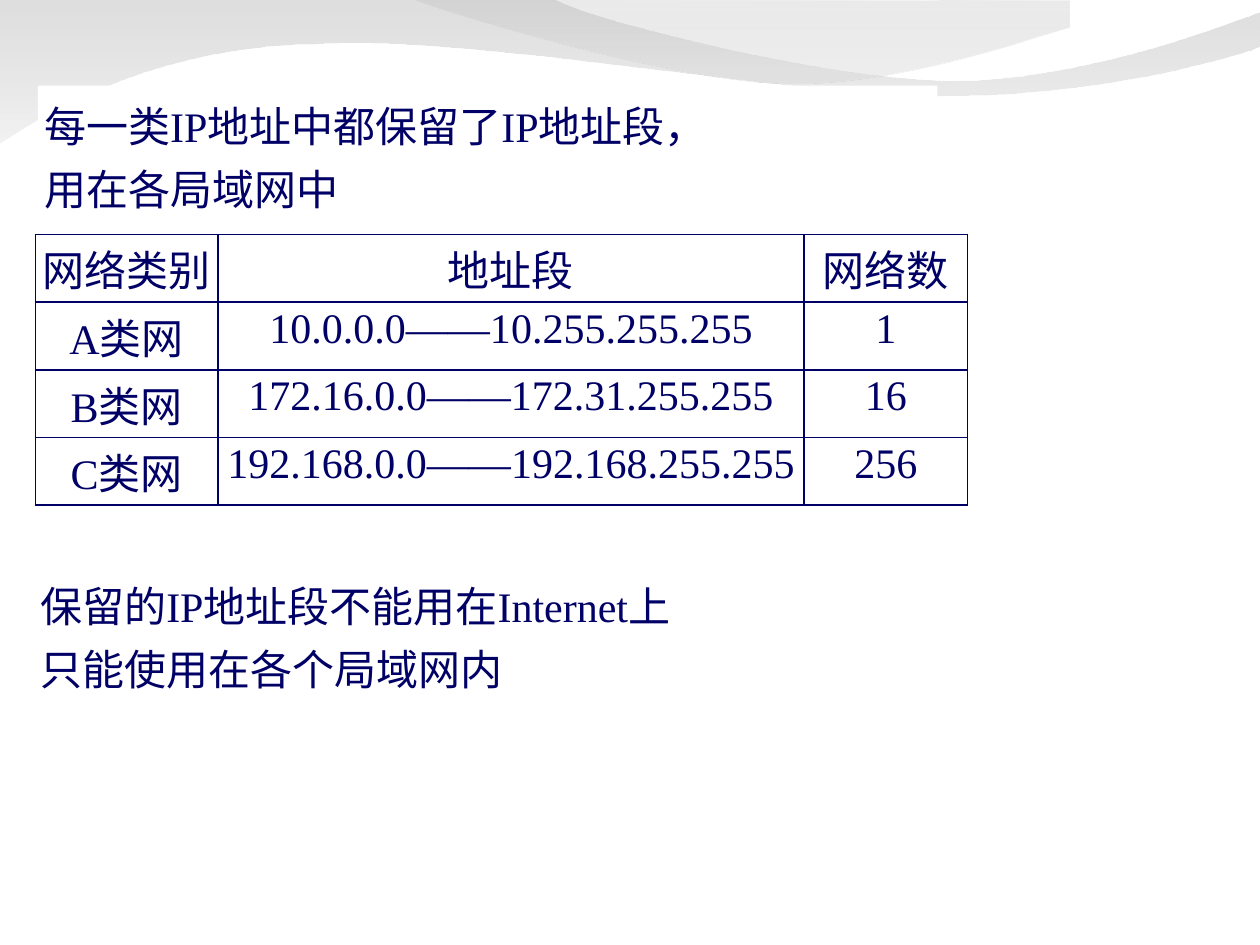
import lxml.etree
import pptx
import pptx.dml.color
import pptx.enum.text
import pptx.oxml.ns
import pptx.util
from pptx.util import Inches

NAVY = "000066"
WHITE = "FFFFFF"
FONT = "Times New Roman"
TEXT_SIZE = 24


def color(hex_string):
    return pptx.dml.color.RGBColor.from_string(hex_string)


def add_element(parent, tag, **attributes):
    name = pptx.oxml.ns.qn(tag)
    return lxml.etree.SubElement(parent, name, attributes)


def bend(shape, segments):
    """Merge the three lines of each cubic segment into one real curve."""
    lines = list(shape._element.iter(pptx.oxml.ns.qn("a:lnTo")))
    for segment in segments:
        group, lines = lines[:len(segment)], lines[len(segment):]
        if len(segment) == 3:
            group[0].tag = pptx.oxml.ns.qn("a:cubicBezTo")
            for line in group[1:]:
                group[0].append(line[0])
                line.getparent().remove(line)


class SlideBuilder:
    def __init__(self, deck):
        self.page = deck.slides.add_slide(deck.slide_layouts[6])

    def style(self, paragraph):
        paragraph.font.name = FONT
        paragraph.font.size = pptx.util.Pt(TEXT_SIZE)
        paragraph.font.color.rgb = color(NAVY)

    def wave(self, start, segments, stops):
        """Add a band of lines (one point) and cubic curves (three points).

        Stops are (position, colour, opacity percent).
        """
        points = [(Inches(x), Inches(y)) for segment in segments for x, y in segment]
        builder = self.page.shapes.build_freeform(
            Inches(start[0]), Inches(start[1]), scale=1.0)
        builder.add_line_segments(points, close=True)
        band = builder.convert_to_shape()
        bend(band, segments)
        band.shadow.inherit = False
        band.line.fill.background()
        band.fill.gradient()
        band.fill.gradient_angle = 270
        tints = band._element.spPr.iter(pptx.oxml.ns.qn("a:gs"))
        for stop, tint, (position, hex_string, opacity) in zip(
                band.fill.gradient_stops, tints, stops):
            stop.position = position
            stop.color.rgb = color(hex_string)
            add_element(tint[0], "a:alpha", val=str(opacity * 1000))

    def text(self, left, top, width, height, lines, fill=None):
        box = self.page.shapes.add_textbox(
            Inches(left), Inches(top), Inches(width), Inches(height))
        if fill:
            box.fill.solid()
            box.fill.fore_color.rgb = color(fill)
        frame = box.text_frame
        frame.word_wrap = True
        frame.vertical_anchor = pptx.enum.text.MSO_ANCHOR.TOP
        frame.margin_left = frame.margin_right = Inches(0.05)
        frame.margin_top = frame.margin_bottom = Inches(0.02)
        frame.text = lines
        for paragraph in frame.paragraphs:
            paragraph.line_spacing = 1.25
            self.style(paragraph)

    def table(self, left, top, widths, height, rows):
        grid = self.page.shapes.add_table(
            len(rows), len(widths), Inches(left), Inches(top),
            Inches(sum(widths)), Inches(height)).table
        for column, width in zip(grid.columns, widths):
            column.width = Inches(width)
        for row, values in zip(grid.rows, rows):
            row.height = Inches(height / len(rows))
            for cell, value in zip(row.cells, values):
                self.cell(cell, value)

    def cell(self, cell, value):
        cell.text = value
        cell.margin_left = cell.margin_right = Inches(0.05)
        cell.margin_top = cell.margin_bottom = Inches(0.03)
        paragraph = cell.text_frame.paragraphs[0]
        paragraph.alignment = pptx.enum.text.PP_ALIGN.CENTER
        self.style(paragraph)
        properties = cell._tc.get_or_add_tcPr()
        for side in ("a:lnL", "a:lnR", "a:lnT", "a:lnB"):
            border = add_element(properties, side, w=str(pptx.util.Pt(1)))
            solid = add_element(border, "a:solidFill")
            add_element(solid, "a:srgbClr", val=NAVY)
        cell.fill.background()


def main():
    deck = pptx.Presentation()
    deck.slide_width = Inches(10)
    deck.slide_height = Inches(7.5)
    slide = SlideBuilder(deck)

    slide.wave(
        (0, 0),
        [[(4.4, 0)],
         [(4.75, 0.18), (6.63, 0.64), (7.58, 0.64)],
         [(8.52, 0.64), (9.57, 0.26), (9.99, 0.1)],
         [(10, 0.37)],
         [(9.82, 0.45), (8.69, 0.77), (7.45, 0.76)],
         [(6.21, 0.76), (3.82, 0.29), (2.57, 0.35)],
         [(1.29, 0.36), (0.46, 0.84), (-0.01, 1.14)]],
        [(0, "B7B7B7", 45), (1, "E7E7E7", 55)])
    slide.wave(
        (3.29, 0),
        [[(3.59, 0.12), (5.31, 0.63), (6.18, 0.66)],
         [(7.04, 0.7), (8.1, 0.33), (8.49, 0.22)],
         [(8.49, 0.01)]],
        [(0, "BDBDBD", 30), (0.8, "DBDBDB", 45)])

    slide.text(0.3, 0.68, 7.14, 0.94,
               "每一类IP地址中都保留了IP地址段，\v用在各局域网中", WHITE)
    slide.text(0.27, 4.49, 7.33, 1.06,
               "保留的IP地址段不能用在Internet上\n只能使用在各个局域网内")
    slide.table(0.28, 1.86, [1.45, 4.65, 1.3], 2.15, [
        ("网络类别", "地址段", "网络数"),
        ("A类网", "10.0.0.0——10.255.255.255", "1"),
        ("B类网", "172.16.0.0——172.31.255.255", "16"),
        ("C类网", "192.168.0.0——192.168.255.255", "256"),
    ])
    deck.save("out.pptx")


if __name__ == "__main__":
    main()
